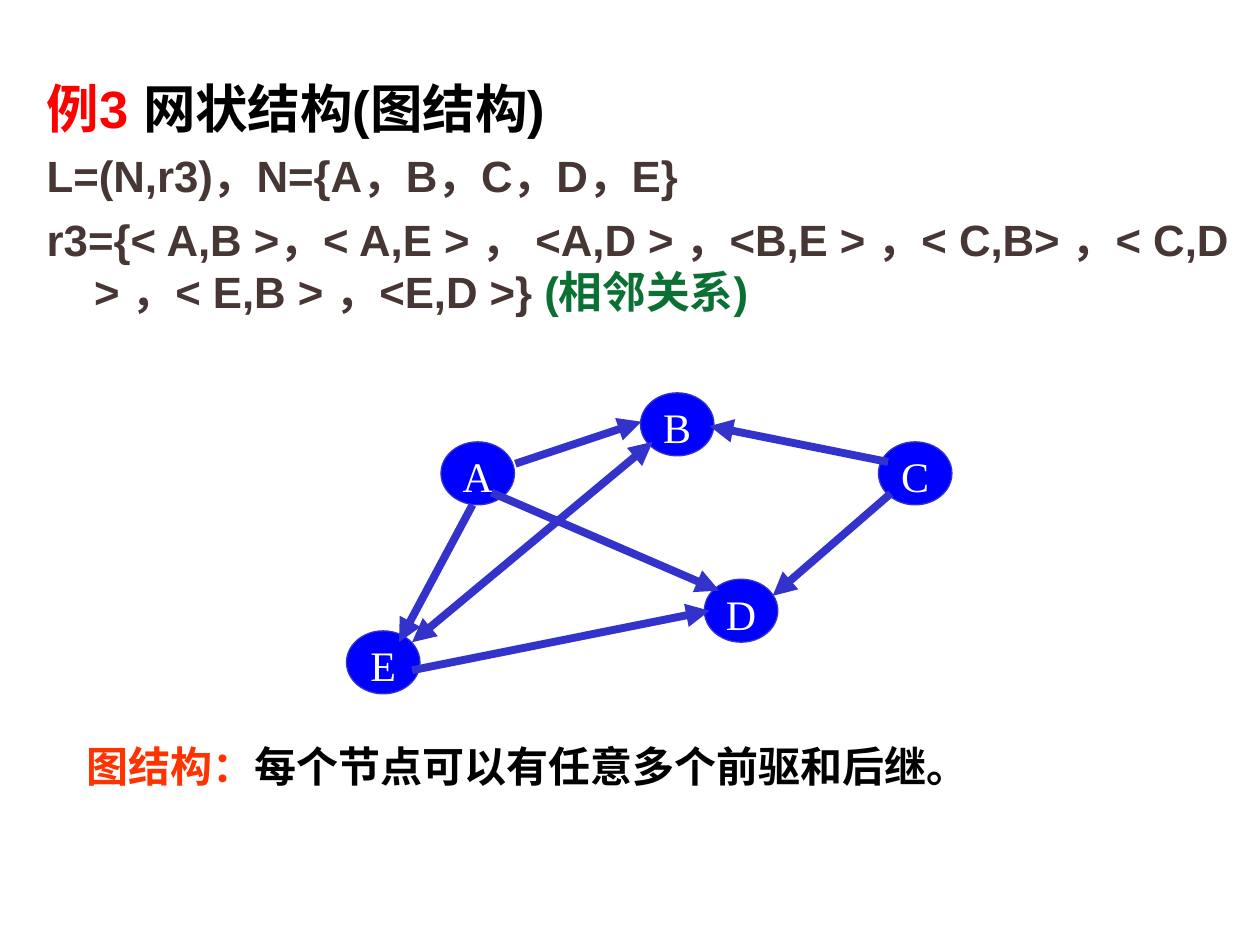
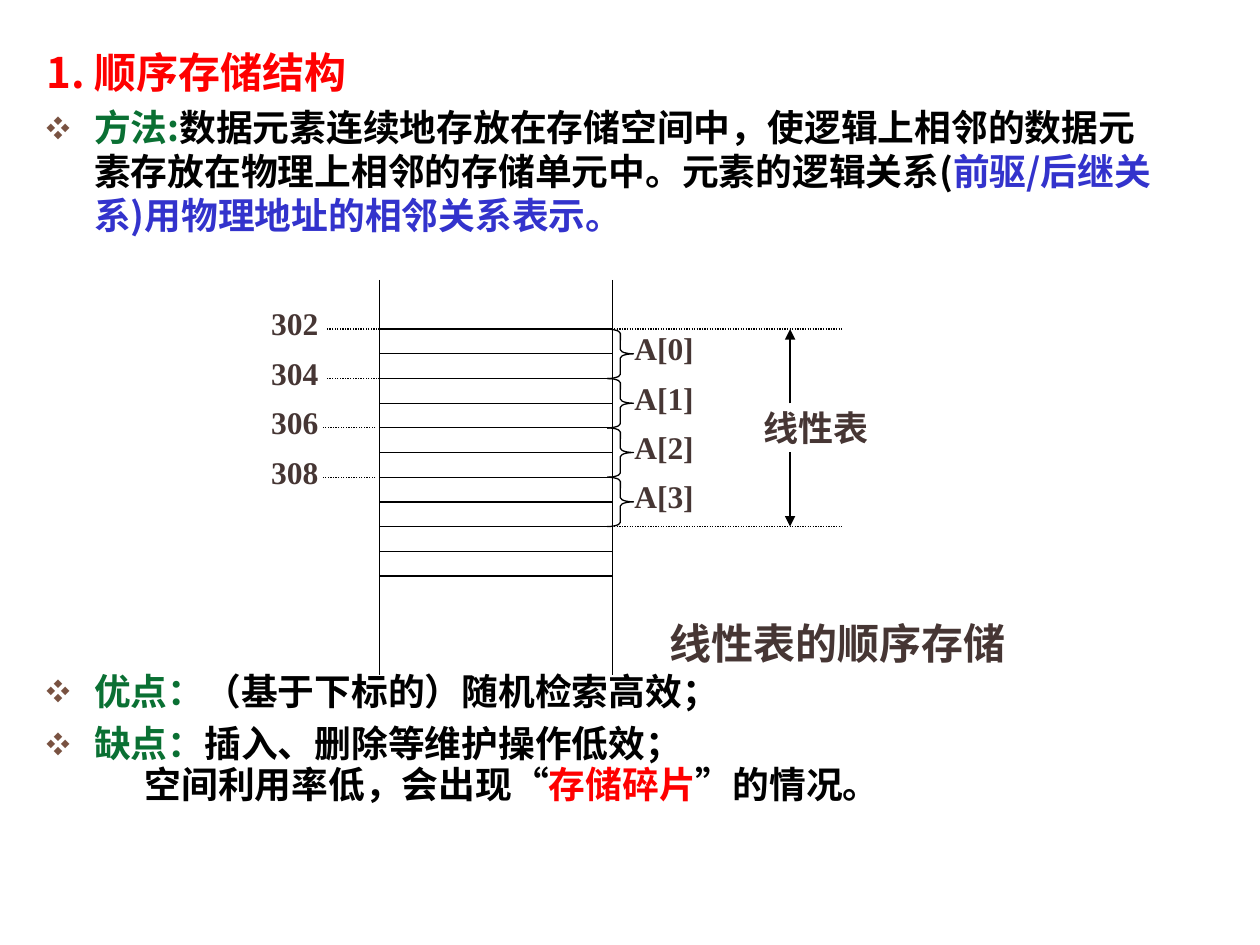
from lxml import etree
from pptx import Presentation
from pptx.dml.color import RGBColor
from pptx.enum.dml import MSO_LINE
from pptx.enum.shapes import MSO_CONNECTOR, MSO_SHAPE
from pptx.enum.text import MSO_ANCHOR, MSO_AUTO_SIZE, PP_ALIGN
from pptx.oxml.ns import qn
from pptx.util import Pt

STRAIGHT = MSO_CONNECTOR.STRAIGHT
OVAL, RECT, BRACE = MSO_SHAPE.OVAL, MSO_SHAPE.RECTANGLE, MSO_SHAPE.RIGHT_BRACE
DOTTED = MSO_LINE.ROUND_DOT
TOP, MIDDLE = MSO_ANCHOR.TOP, MSO_ANCHOR.MIDDLE
LEFT, CENTER = PP_ALIGN.LEFT, PP_ALIGN.CENTER
NO_FIT = MSO_AUTO_SIZE.NONE

ARIAL, TIMES, CJK = "Arial", "Times New Roman", "Noto Sans CJK SC"
BLACK, WHITE, RED, ORANGE = "000000", "FFFFFF", "FF0000", "FF3300"
GREEN, BROWN, INDIGO, BLUE = "0A7033", "463634", "3333CC", "0000FF"
BULLET = "795241"
HANG = 27


def rgb(value):
    return RGBColor.from_string(value)


def add_xml(parent, tag, **attrs):
    el = etree.SubElement(parent, qn(tag))
    for key, value in attrs.items():
        el.set(key, str(value))
    return el


def set_bullet(pPr):
    add_xml(add_xml(pPr, "a:buClr"), "a:srgbClr", val=BULLET)
    add_xml(pPr, "a:buSzPct", val=65000)
    add_xml(pPr, "a:buFont", typeface=CJK)
    add_xml(pPr, "a:buChar", char="❖")


def write(p, runs, size, font, bold=True, leading=None, before=0,
          left=0, hang=0, bullet=False, align=LEFT):
    pPr = p._p.get_or_add_pPr()
    pPr.set("marL", str(Pt(left)))
    pPr.set("indent", str(-Pt(hang)))
    if bullet:
        set_bullet(pPr)
    else:
        add_xml(pPr, "a:buNone")
    p.alignment = align
    p.space_before, p.space_after = Pt(before), Pt(0)
    p.line_spacing = Pt(leading) if leading else 1.0
    p.font.size, p.font.bold, p.font.name = Pt(size), bold, font
    add_xml(pPr.find(qn("a:defRPr")), "a:ea", typeface=CJK)
    for text, color, *face in runs:
        r = p.add_run()
        r.text = text
        r.font.color.rgb = rgb(color)
        if face:
            r.font.name = face[0]


def set_frame(sp, inset=(7.2, 3.6, 7.2, 3.6), anchor=TOP, wrap=True):
    tf = sp.text_frame
    tf.auto_size, tf.word_wrap, tf.vertical_anchor = NO_FIT, wrap, anchor
    (tf.margin_left, tf.margin_top,
     tf.margin_right, tf.margin_bottom) = map(Pt, inset)
    return tf


def fill_text(sp, box, paragraphs):
    sp.left, sp.top, sp.width, sp.height = map(Pt, box)
    tf = set_frame(sp)
    for i, (runs, style) in enumerate(paragraphs):
        p = tf.add_paragraph() if i else tf.paragraphs[0]
        write(p, runs, **style)


def add_shape(s, kind, x, y, w, h, fill=None, line=None):
    sp = s.shapes.add_shape(kind, Pt(x), Pt(y), Pt(w), Pt(h))
    sp.shadow.inherit = False
    if fill:
        sp.fill.solid()
        sp.fill.fore_color.rgb = rgb(fill)
    else:
        sp.fill.background()
    if line:
        sp.line.color.rgb = rgb(line)
        sp.line.width = Pt(0.75)
    else:
        sp.line.fill.background()
    return sp


def add_line(s, x1, y1, x2, y2, color=BLACK, width=0.75, dash=None,
             head=False, tail=False):
    c = s.shapes.add_connector(STRAIGHT, Pt(x1), Pt(y1), Pt(x2), Pt(y2))
    c.line.color.rgb = rgb(color)
    c.line.width = Pt(width)
    if dash:
        c.line.dash_style = dash
    spPr = c._element.spPr
    ln = spPr.find(qn("a:ln"))
    if head:
        add_xml(ln, "a:headEnd", type="triangle")
    if tail:
        add_xml(ln, "a:tailEnd", type="triangle")
    add_xml(spPr, "a:effectLst")


def add_label(s, text, x, y, w, h, size=18, leading=None, align=LEFT):
    sp = add_shape(s, RECT, x, y, w, h, fill=WHITE)
    tf = set_frame(sp, (0, 0, 0, 0))
    write(tf.paragraphs[0], [(text, BROWN)], size, TIMES,
          leading=leading, align=align)


def draw_graph(s, x, y):
    nodes = {"A": (54, 28), "B": (168, 0), "C": (304, 28),
             "D": (204.5, 106.5), "E": (0, 136)}
    edges = [(72, 64, 30, 142.5, False),
             (96.5, 40.5, 168.5, 16.5, False),
             (37.5, 158.5, 207.5, 124.5, False),
             (37.5, 142.5, 175, 28, True),
             (83, 57, 213, 113, False),
             (309.5, 39.5, 207.5, 19, False),
             (311, 57.5, 243.5, 116, False)]
    for name, (dx, dy) in nodes.items():
        sp = add_shape(s, OVAL, x + dx, y + dy, 42, 36, BLUE, INDIGO)
        tf = set_frame(sp, (0, 3, 0, 0), MIDDLE, False)
        write(tf.paragraphs[0], [(name, WHITE)], 24, TIMES,
              bold=False, align=CENTER)
    for x1, y1, x2, y2, both in edges:
        add_line(s, x + x1, y + y1, x + x2, y + y2, INDIGO, 4.5,
                 head=both, tail=True)


def draw_memory(s, x, y):
    row, first_row = 14.1, 28.1
    cell = 2 * row
    wall_left, wall_right = x + 62, x + 195
    list_top = y + first_row
    list_bottom = list_top + 4 * cell
    arrow_x = x + 296.5
    add_label(s, "线性表的顺序存储", x + 209.5, y + 191.5, 228, 30, 24, 30,
              CENTER)
    add_label(s, "线性表", x + 281.5, y + 70.5, 104, 28, 20, 26)
    for i in range(4):
        top = list_top + i * cell
        add_label(s, str(302 + 2 * i), x, top - row, 30, cell)
        add_label(s, f"A[{i}]", x + 207.5, top, 45, cell)
        shift = 0 if i < 2 else -2.5
        add_line(s, wall_left + shift, top, x + 32 + shift, top, dash=DOTTED)
        brace = add_shape(s, BRACE, x + 192, top, 15, cell, line=BLACK)
        brace.adjustments[0] = 0.16
    for wall in (wall_left, wall_right):
        add_line(s, wall, y, wall, y + 225.5)
    for i in range(11):
        top = list_top + i * row
        add_line(s, wall_left, top, wall_right, top)
    for edge, start in ((list_top, y + 70.5), (list_bottom, y + 98.5)):
        add_line(s, x + 193, edge, x + 326, edge, dash=DOTTED)
        add_line(s, arrow_x, start, arrow_x, edge, tail=True)


def build_network(prs):
    s = prs.slides.add_slide(prs.slide_layouts[1])
    body = dict(size=25, font=ARIAL, leading=30, left=HANG, hang=HANG)
    fill_text(s.shapes.title, (19.5, 40, 700.5, 44), [
        ([("例3 ", RED), ("网状结构(图结构)", BLACK)],
         dict(size=30, font=ARIAL, leading=36))])
    fill_text(s.placeholders[1], (19.5, 81.5, 700.5, 110), [
        ([("L=(N,r3)，N={A，B，C，D，E}", BROWN)], body),
        ([("r3={< A,B >，< A,E > ， <A,D > ，<B,E > ，< C,B> ，"
           "< C,D > ，< E,B > ，<E,D >} ", BROWN), ("(相邻关系)", GREEN)],
         dict(body, before=6.5))])
    draw_graph(s, 198, 224.5)
    caption = s.shapes.add_textbox(0, 0, 0, 0)
    fill_text(caption, (42.5, 419.5, 595.5, 36), [
        ([("图结构：", ORANGE), ("每个节点可以有任意多个前驱和后继。", BLACK)],
         dict(size=24, font=TIMES, leading=29))])


def build_sequential(prs):
    s = prs.slides.add_slide(prs.slide_layouts[3])
    item = dict(size=21, font=CJK, leading=25.1, left=HANG, hang=HANG,
                bullet=True)
    fill_text(s.shapes.title, (19.5, 22.5, 654, 36), [
        ([("1. 顺序存储结构", RED)], dict(size=24, font=CJK, leading=29))])
    fill_text(s.placeholders[1], (19.5, 56.5, 654, 86), [
        ([("方法:", GREEN),
          ("数据元素连续地存放在存储空间中，使逻辑上相邻的数据元素存放在"
           "物理上相邻的存储单元中。元素的逻辑关系(", BLACK),
          ("前驱/后继关系)用物理地址的相邻关系表示。", INDIGO)], item)])
    fill_text(s.placeholders[2], (19.5, 378.5, 654, 90), [
        ([("优点：", GREEN), ("（基于下标的）随机检索高效；", BLACK)], item),
        ([("缺点：", GREEN), ("插入、删除等维护操作低效；", BLACK)],
         dict(item, before=4.7)),
        ([("空间利用率低，会出现", BLACK), ("“", BLACK, TIMES),
          ("存储碎片", RED), ("”", BLACK, TIMES), ("的情况。", BLACK)],
         dict(size=21, font=CJK, leading=23.4, left=56))])
    draw_memory(s, 155, 160)


def main():
    prs = Presentation()
    prs.slide_width, prs.slide_height = Pt(720), Pt(540)
    build_network(prs)
    build_sequential(prs)
    prs.save("out.pptx")


if __name__ == "__main__":
    main()
